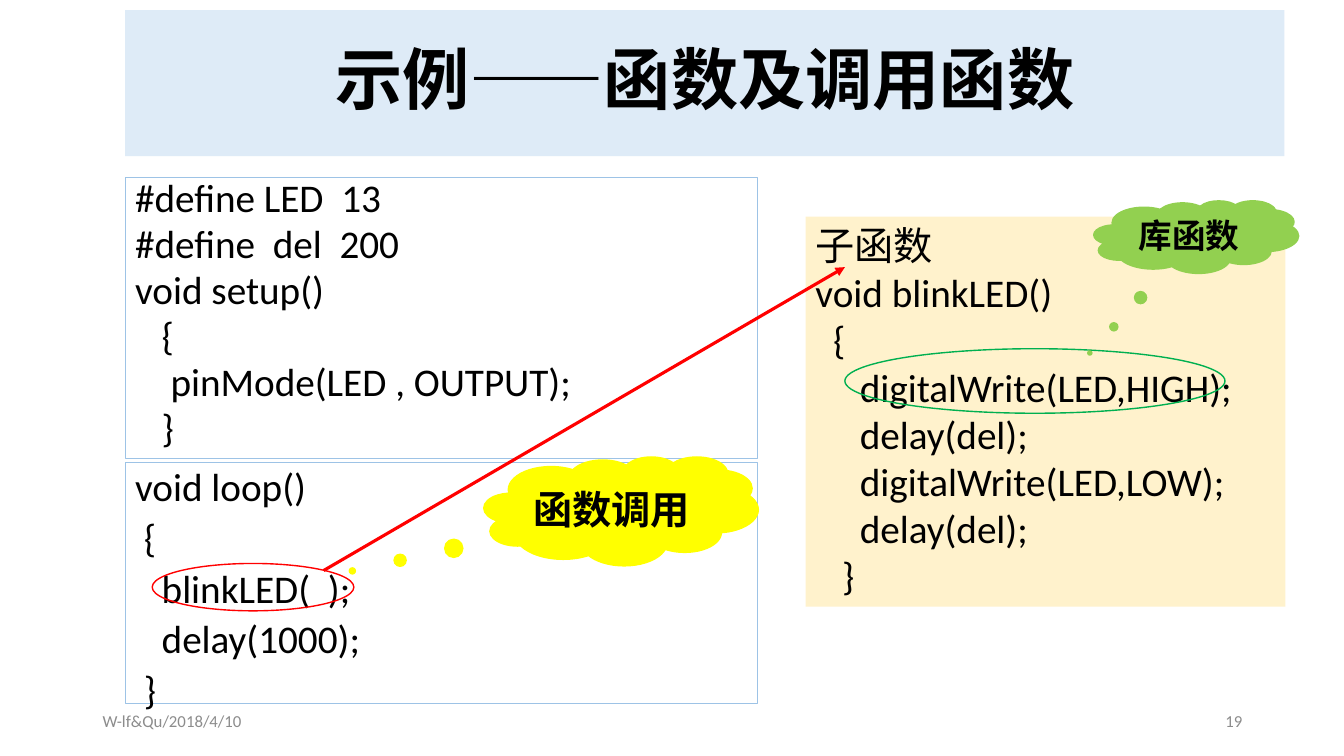
from dataclasses import dataclass
from lxml.etree import SubElement
from pptx import Presentation
from pptx.dml.color import RGBColor
from pptx.enum.shapes import MSO_CONNECTOR, MSO_SHAPE
from pptx.enum.text import MSO_ANCHOR, MSO_AUTO_SIZE, PP_ALIGN
from pptx.oxml.ns import qn
from pptx.util import Inches, Pt


@dataclass
class Theme:
    font: str = "Calibri"
    ink: str = "000000"
    gray: str = "8C8C8C"
    band: str = "DEEBF7"
    edge: str = "9DC3E6"
    cream: str = "FFF2CC"
    red: str = "FF0000"
    green: str = "00B050"
    lime: str = "92D050"
    yellow: str = "FFFF00"
    head: int = 48
    code: int = 28
    note: int = 24
    foot: int = 12


theme = Theme()


def style(shape, box, fill=None, line=None, width=1):
    shape.left, shape.top, shape.width, shape.height = map(Inches, box)
    if fill:
        shape.fill.solid()
        shape.fill.fore_color.rgb = RGBColor.from_string(fill)
    else:
        shape.fill.background()
    if line:
        shape.line.color.rgb = RGBColor.from_string(line)
        shape.line.width = Pt(width)


def write(shape, text, size, color=theme.ink, bold=False, align=PP_ALIGN.LEFT,
          anchor=MSO_ANCHOR.MIDDLE, space=1.0, gap=0):
    frame = shape.text_frame
    frame.text = text
    frame.word_wrap = True
    frame.auto_size = MSO_AUTO_SIZE.NONE
    frame.vertical_anchor = anchor
    for i, para in enumerate(frame.paragraphs):
        props = para._p.get_or_add_pPr()
        props.set("marL", "0")
        props.set("indent", "0")
        SubElement(props, qn("a:buNone"))
        para.alignment = align
        para.line_spacing = space
        para.space_before = Pt(gap if i else 0)
        para.font.name = theme.font
        para.font.size = Pt(size)
        para.font.bold = bold
        para.font.color.rgb = RGBColor.from_string(color)


deck = Presentation()
deck.slide_width, deck.slide_height = Inches(13.33), Inches(7.5)
slide = deck.slides.add_slide(deck.slide_layouts[3])
shapes = slide.shapes

# Title band
title = shapes.title
style(title, (1.24, 0.1, 11.5, 1.45), theme.band)
write(title, "示例——函数及调用函数", theme.head, bold=True,
      align=PP_ALIGN.CENTER, space=0.9)

# Main program: setup above loop
setup = """#define LED  13
#define  del  200
void setup()
   {
    pinMode(LED , OUTPUT);
   }"""
loop = """void loop()
 {
   blinkLED(  );
   delay(1000);
 }"""
for slot, code, top, height, space in [(1, setup, 1.76, 2.79, 0.8),
                                       (2, loop, 4.59, 2.39, 0.9)]:
    body = slide.placeholders[slot]
    style(body, (1.24, top, 6.27, height), line=theme.edge, width=0.75)
    write(body, code, theme.code, anchor=MSO_ANCHOR.TOP, space=space, gap=6)

# Function definition
blink = """子函数
void blinkLED()
  {
     digitalWrite(LED,HIGH);
     delay(del);
     digitalWrite(LED,LOW);
     delay(del);
   }"""
panel = shapes.add_textbox(0, 0, 0, 0)
style(panel, (7.99, 2.15, 4.76, 3.87), theme.cream)
write(panel, blink, theme.code, anchor=MSO_ANCHOR.TOP)

# Arrow from the call to the definition
arrow = shapes.add_connector(MSO_CONNECTOR.STRAIGHT, Inches(3.21), Inches(5.66),
                             Inches(8.38), Inches(2.65))
arrow.line.color.rgb = RGBColor.from_string(theme.red)
arrow.line.width = Pt(2.25)
SubElement(arrow.line._get_or_add_ln(), qn("a:tailEnd"), type="triangle")
SubElement(arrow._element.spPr, qn("a:effectLst"))

# Rings around the calls
for box, color in [((1.51, 5.59, 2, 0.47), theme.red),
                   ((8.38, 3.46, 3.77, 0.64), theme.green)]:
    ring = shapes.add_shape(MSO_SHAPE.OVAL, 0, 0, 0, 0)
    ring.shadow.inherit = False
    style(ring, box, line=color)

# Cloud labels
for box, tip, color, label, size in [
        ((4.8, 4.53, 2.72, 1.08), (-0.98, 0.55), theme.yellow, "函数调用", theme.code),
        ((10.85, 1.99, 2.03, 0.72), (-0.52, 1.6), theme.lime, "库函数", theme.note)]:
    cloud = shapes.add_shape(MSO_SHAPE.CLOUD_CALLOUT, 0, 0, 0, 0)
    cloud.shadow.inherit = False
    cloud.adjustments[0], cloud.adjustments[1] = tip
    style(cloud, box, color, color)
    write(cloud, label, size, bold=True, align=PP_ALIGN.CENTER)

# Footer
for left, text, align in [(0.92, "W-lf&Qu/2018/4/10", PP_ALIGN.LEFT),
                          (9.42, "19", PP_ALIGN.RIGHT)]:
    foot = shapes.add_textbox(0, 0, 0, 0)
    style(foot, (left, 6.95, 3, 0.4))
    write(foot, text, theme.foot, theme.gray, align=align)

deck.save("out.pptx")
